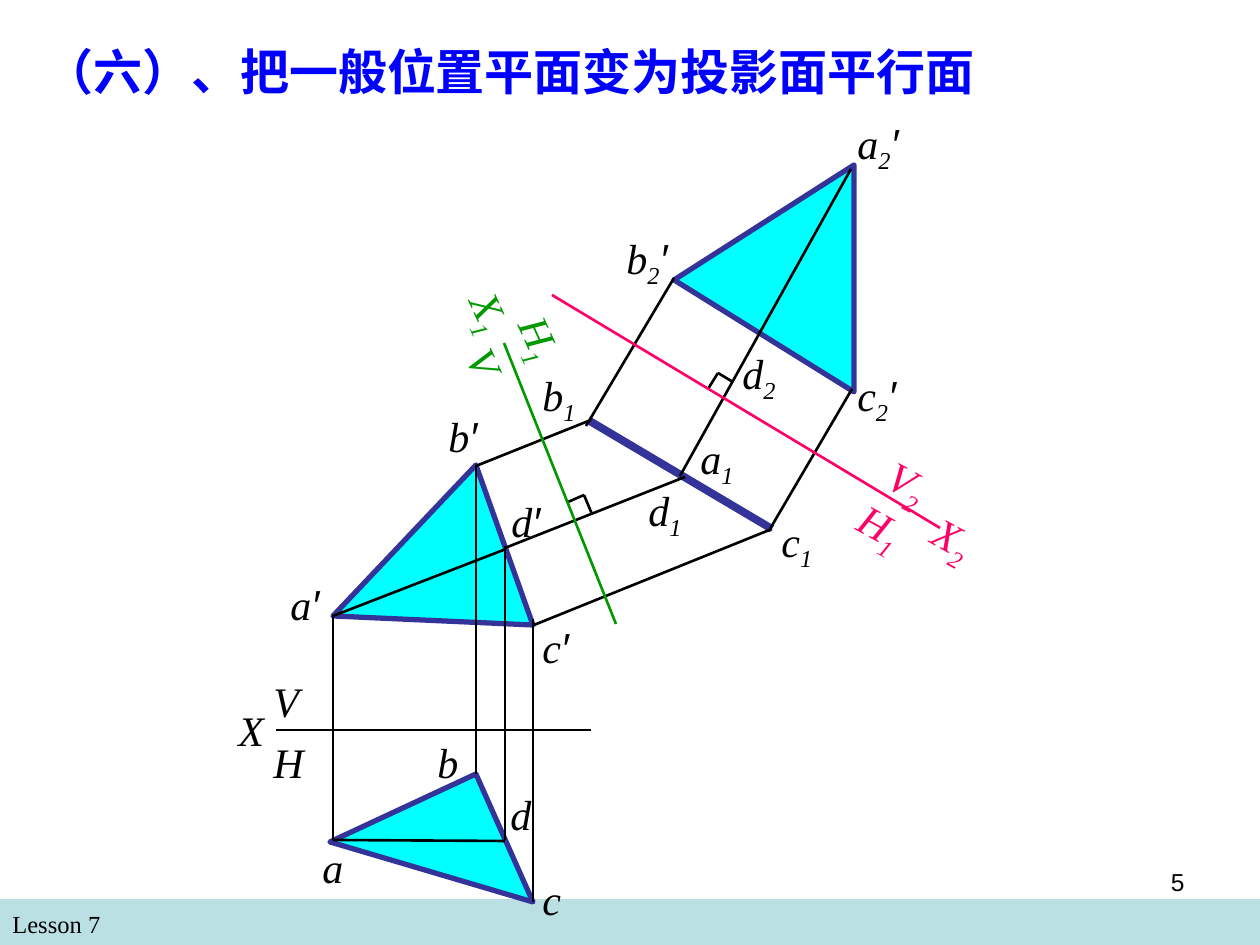
from dataclasses import dataclass

from lxml.etree import SubElement
from pptx import Presentation
from pptx.dml.color import RGBColor
from pptx.enum.shapes import MSO_CONNECTOR as Connector, MSO_SHAPE as Shape
from pptx.enum.text import MSO_ANCHOR as Anchor, MSO_AUTO_SIZE as AutoSize, PP_ALIGN as Align
from pptx.oxml.ns import qn
from pptx.util import Emu, Pt

SCALE = 914400 / 126


@dataclass(frozen=True)
class Theme:
    """Colours, fonts and type sizes of the slide."""
    band: str = "BBE0E3"
    ink: str = "000000"
    title: str = "0000FF"
    plane: str = "00FFFF"
    edge: str = "333399"
    first_axis: str = "009900"
    second_axis: str = "FF0066"
    serif: str = "Times New Roman"
    sans: str = "Arial"
    title_size: int = 28
    label_size: int = 24
    small_size: int = 14
    thin: float = 1.5
    outline: float = 3
    thick: float = 4.5


THEME = Theme()

TRIANGLES = [
    [(333, 616), (533, 625), (476, 465)],
    [(330, 842), (476, 774), (533, 902)],
    [(854, 165), (674, 280), (854, 392)],
]

PROJECTION_LINES = [
    (276, 730, 591, 730),
    (333, 615, 333, 840),
    (533, 619, 533, 902),
    (476, 465, 476, 774),
    (505, 546, 505, 840),
    (333, 840, 505, 841),
    (506, 549, 333, 616),
    (505, 548, 685, 477),
    (476, 466, 591, 420),
    (534, 625, 772, 529),
    (770, 529, 852, 389),
    (674, 278, 586, 426),
    (680, 476, 851, 169),
]

RIGHT_ANGLE_MARKS = [
    (568, 502, 584, 495),
    (584, 495, 592, 514),
    (708, 389, 718, 373),
    (718, 373, 733, 382),
]

POINT_LABELS = [
    ("a′", 278, 572, 125),
    ("b′", 436, 404, 125),
    ("c′", 530, 615, 66),
    ("d′", 499, 489, 66),
    ("a", 310, 835, 63),
    ("b", 425, 730, 125),
    ("c", 530, 867, 77),
    ("d", 498, 782, 66),
    ("X", 226, 698, 112),
    ("V", 261, 669, 72),
    ("H", 261, 730, 72),
    ("a1", 688, 426, 94),
    ("b1", 530, 363, 125),
    ("c1", 769, 509, 77),
    ("d1", 636, 478, 105),
    ("a2′", 845, 111, 125),
    ("b2′", 614, 226, 125),
    ("c2′", 845, 363, 116),
    ("d2", 730, 341, 94),
]

FIRST_AXIS_LABELS = [("X1", 442, 300, 112), ("H1", 491, 324, 112), ("V", 454, 340, 71)]
SECOND_AXIS_LABELS = [("X2", 917, 517, 112), ("V2", 872, 461, 112), ("H1", 844, 499, 93)]


def px(value):
    """Turn px into EMU."""
    return Emu(round(value * SCALE))


def rgb(color):
    """Turn a hex string into a colour."""
    return RGBColor.from_string(color)


def format_font(font, size, color, name):
    """Set size, colour and typeface of a font."""
    font.size = Pt(size)
    font.color.rgb = rgb(color)
    font.name = name


def format_frame(frame):
    """Make a text frame wrap from the top at a fixed size."""
    frame.word_wrap = True
    frame.auto_size = AutoSize.NONE
    frame.vertical_anchor = Anchor.TOP


def add_text(slide, text, left, top, width, height, font_name, align=Align.LEFT):
    """Add a small line of text and return nothing."""
    frame = slide.shapes.add_textbox(px(left), px(top), px(width), px(height)).text_frame
    format_frame(frame)
    para = frame.paragraphs[0]
    para.text = text
    para.alignment = align
    format_font(para.runs[0].font, THEME.small_size, THEME.ink, font_name)


def add_title(slide, text):
    """Place and format the title placeholder."""
    title = slide.shapes.title
    title.left, title.top, title.width, title.height = px(32), px(35), px(1000), px(72)
    frame = title.text_frame
    format_frame(frame)
    frame.text = text
    para = frame.paragraphs[0]
    para.alignment = Align.LEFT
    font = para.runs[0].font
    format_font(font, THEME.title_size, THEME.title, THEME.sans)
    font.bold = True


def add_label(slide, name, left, top, width, color=THEME.ink, rotation=0):
    """Add an italic point name with lowered digits and a sans prime."""
    height = 71 if any(mark.isdigit() for mark in name) else 63
    box = slide.shapes.add_textbox(px(left), px(top), px(width), px(height))
    box.rotation = rotation
    format_frame(box.text_frame)
    para = box.text_frame.paragraphs[0]
    for mark in name:
        span = para.add_run()
        span.text = mark
        format_font(span.font, THEME.label_size, color, THEME.sans if mark == "′" else THEME.serif)
        span.font.italic = True
        if mark.isdigit():
            span.font._element.set("baseline", "-25000")


def add_line(slide, ends, color=THEME.ink, weight=THEME.thin):
    """Add a straight line without shadow."""
    line = slide.shapes.add_connector(Connector.STRAIGHT, *map(px, ends))
    line.line.color.rgb = rgb(color)
    line.line.width = Pt(weight)
    SubElement(line._element.spPr, qn("a:effectLst"))


def add_triangle(slide, corners):
    """Add a filled triangle through three corners."""
    builder = slide.shapes.build_freeform(*corners[0], scale=SCALE)
    builder.add_line_segments(corners[1:], close=True)
    shape = builder.convert_to_shape()
    shape.shadow.inherit = False
    shape.fill.solid()
    shape.fill.fore_color.rgb = rgb(THEME.plane)
    shape.line.color.rgb = rgb(THEME.edge)
    shape.line.width = Pt(THEME.outline)


def add_band(slide):
    """Add the footer band."""
    band = slide.shapes.add_shape(Shape.RECTANGLE, px(0), px(899), px(1260), px(46))
    band.shadow.inherit = False
    band.fill.solid()
    band.fill.fore_color.rgb = rgb(THEME.band)
    band.line.fill.background()


def main():
    """Build the slide and save it."""
    deck = Presentation()
    deck.slide_width, deck.slide_height = px(1260), px(945)
    slide = deck.slides.add_slide(deck.slide_layouts[5])
    add_title(slide, "（六）、把一般位置平面变为投影面平行面")
    add_band(slide)
    add_text(slide, "Lesson 7", 0, 903, 609, 42, THEME.serif)
    for corners in TRIANGLES:
        add_triangle(slide, corners)
    add_line(slide, (588, 420, 772, 529), THEME.edge, THEME.thick)
    for ends in PROJECTION_LINES + RIGHT_ANGLE_MARKS:
        add_line(slide, ends)
    add_line(slide, (504, 343, 616, 624), THEME.first_axis)
    add_line(slide, (552, 295, 940, 528), THEME.second_axis)
    for label in POINT_LABELS:
        add_label(slide, *label)
    for label in FIRST_AXIS_LABELS:
        add_label(slide, *label, THEME.first_axis, 65.6)
    for label in SECOND_AXIS_LABELS:
        add_label(slide, *label, THEME.second_axis, 28.8)
    add_text(slide, "5", 903, 861, 294, 66, THEME.sans, Align.RIGHT)
    deck.save("out.pptx")


if __name__ == "__main__":
    main()
